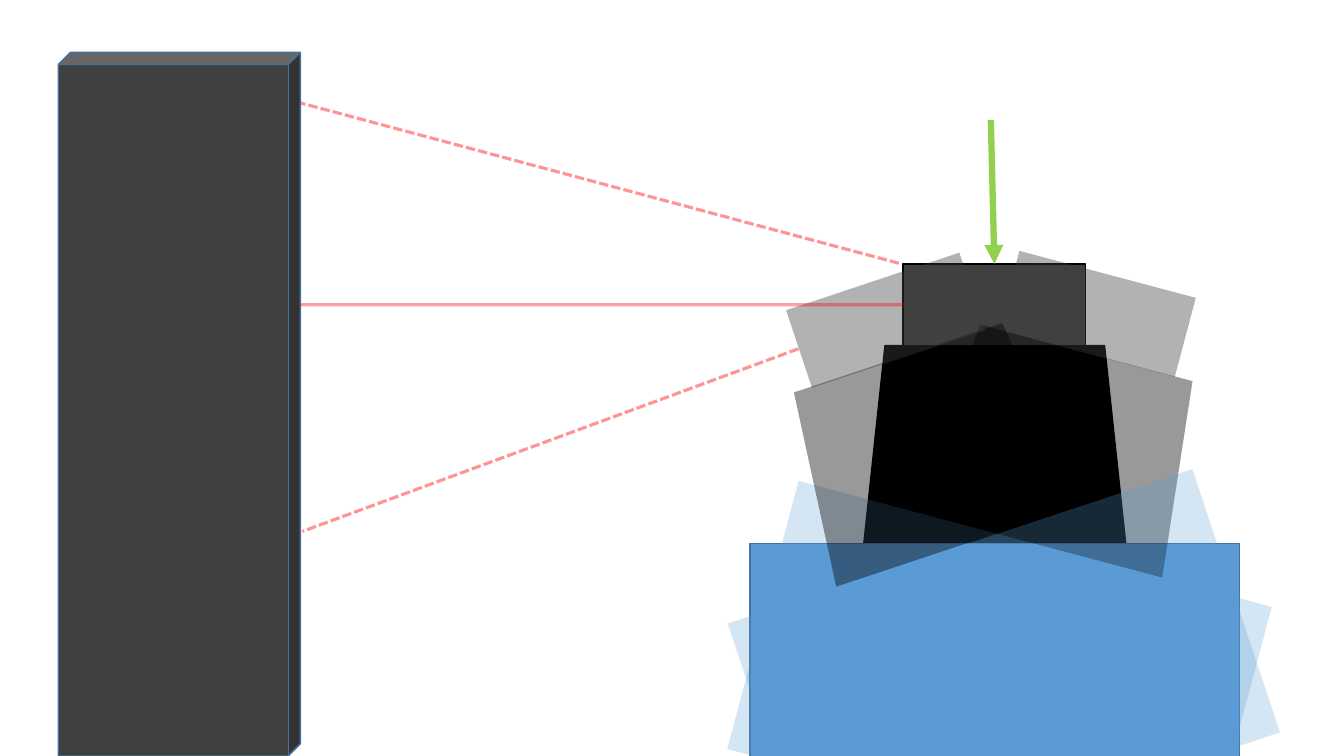
from lxml import etree
from pptx import Presentation
from pptx import util as u
from pptx.dml.color import RGBColor
from pptx.enum import dml, shapes
from pptx.oxml.ns import qn

COLORS = {
    "black": "000000",
    "charcoal": "404040",
    "blue": "5B9BD5",
    "edge": "43739E",
    "beam": "FF0000",
    "arrow": "92D050",
}
SHAPE = shapes.MSO_SHAPE

# name: preset, width, height, fill, outline, opacity when tilted
PARTS = {
    "neck": (SHAPE.TRAPEZOID, 6.6, 4.98, "black", "black", 40),
    "head": (SHAPE.RECTANGLE, 4.6, 2.06, "charcoal", "black", 40),
    "base": (SHAPE.RECTANGLE, 12.34, 6.99, "blue", "edge", 26),
}
# rotation, then left and top of each part
UPRIGHT = (0, {"neck": (21.77, 8.71), "head": (22.76, 6.65), "base": (18.9, 13.69)})
TILTED = [
    (14.9, {"neck": (23.44, 8.81), "head": (25.35, 6.88), "base": (19.02, 13.59)}),
    (341.6, {"neck": (20.12, 8.89), "head": (20.02, 7.04), "base": (19.13, 13.59)}),
]
DASHED_BEAM = {"width": u.Pt(2.25), "dash_style": dml.MSO_LINE.SQUARE_DOT}
SOLID_BEAM = {"width": u.Pt(2.25), "dash_style": dml.MSO_LINE.SOLID}


def paint(fill, color, opacity=100):
    fill.solid()
    fill.fore_color.rgb = RGBColor.from_string(COLORS[color])
    if opacity < 100:
        tint = fill._xPr.find(qn("a:solidFill"))[0]
        etree.SubElement(tint, qn("a:alpha"), val=str(opacity * 1000))


def add_block(parent, preset, place, size, fill, edge=None, opacity=100, adjust=None):
    block = parent.add_shape(preset, *map(u.Cm, place + size))
    block.shadow.inherit = False
    paint(block.fill, fill, opacity)
    if edge:
        paint(block.line.fill, edge)
        block.line.width = u.Pt(1)
    else:
        block.line.fill.background()
    if adjust is not None:
        block.adjustments[0] = adjust
    return block


def add_device(page, rotation, places):
    """Group neck, head and base; tilted devices are see-through and have no outline."""
    group = page.shapes.add_group_shape()
    blocks = {}
    for name, (preset, width, height, fill, edge, opacity) in PARTS.items():
        block = add_block(
            group.shapes, preset, places[name], (width, height), fill,
            edge=None if rotation else edge,
            opacity=opacity if rotation else 100,
            adjust=0.107 if name == "neck" else None,
        )
        block.rotation = rotation
        blocks[name] = block
    return blocks


def add_line(page, start, end, color, formats, opacity=100):
    line = page.shapes.add_connector(
        shapes.MSO_CONNECTOR.STRAIGHT, *map(u.Cm, start + end))
    paint(line.line.fill, color, opacity)
    for name, value in formats.items():
        setattr(line.line, name, value)
    etree.SubElement(line._element.spPr, qn("a:effectLst"))
    return line


def main():
    deck = Presentation()
    deck.slide_width, deck.slide_height = u.Cm(33.87), u.Cm(19.05)
    page = deck.slides.add_slide(deck.slide_layouts[6])

    add_line(page, (25.4, 7.37), (7.37, 2.54), "beam", DASHED_BEAM, 41)
    head = add_device(page, *UPRIGHT)["head"]
    for rotation, places in TILTED:
        add_device(page, rotation, places)
    add_block(page.shapes, SHAPE.CUBE, (1.47, 1.32), (6.1, 17.73),
              "charcoal", "edge", adjust=0.05)

    level_beam = add_line(page, (22.76, 7.68), (7.54, 7.68), "beam", SOLID_BEAM, 36)
    level_beam.begin_connect(head, 1)
    add_line(page, (20.12, 8.79), (7.62, 13.39), "beam", DASHED_BEAM, 41)
    arrow = add_line(page, (24.97, 3.02), (25.06, 6.65), "arrow", {"width": u.Pt(4.5)})
    arrow.end_connect(head, 0)
    etree.SubElement(arrow.line._ln, qn("a:tailEnd"), type="triangle")

    deck.save("out.pptx")


if __name__ == "__main__":
    main()
